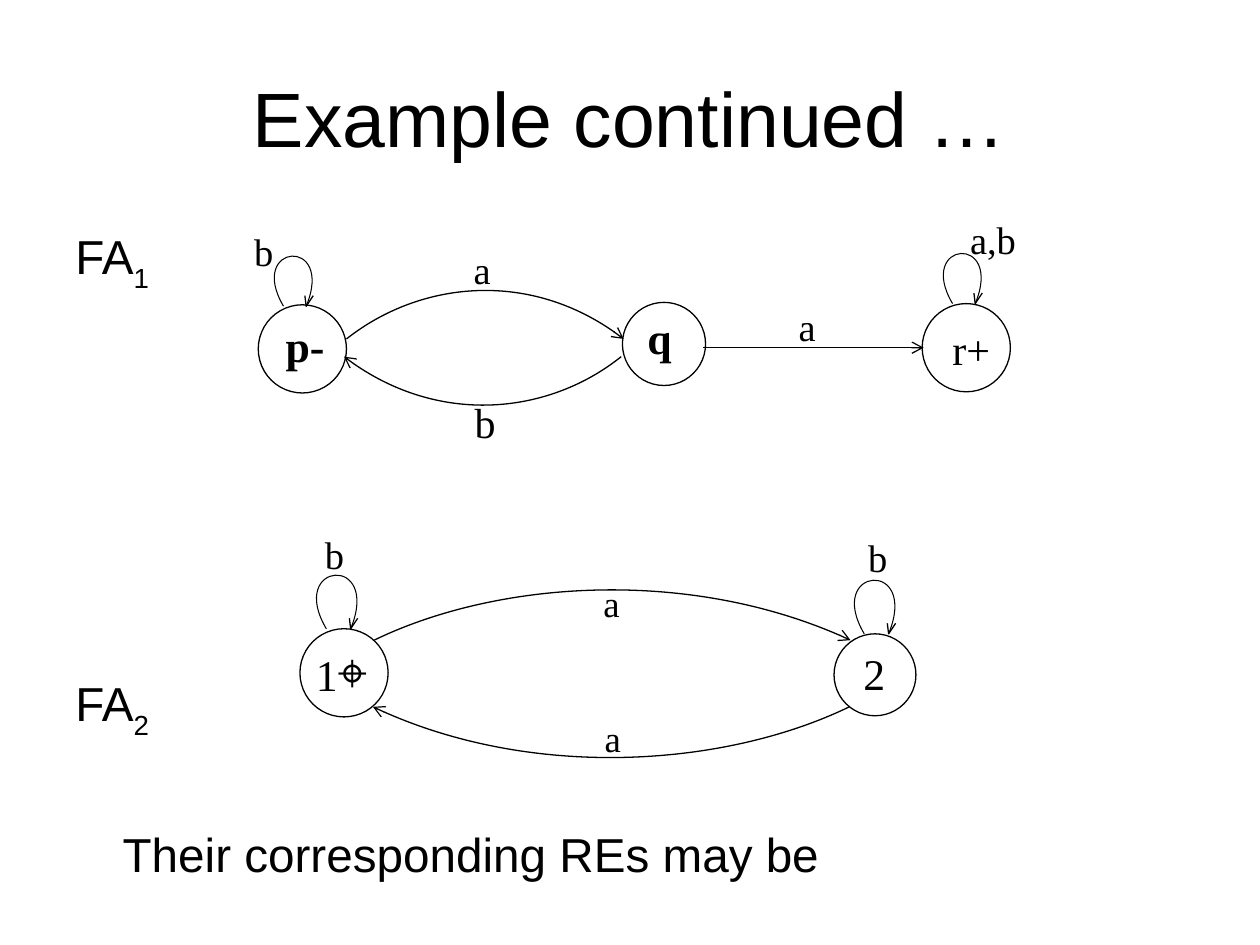
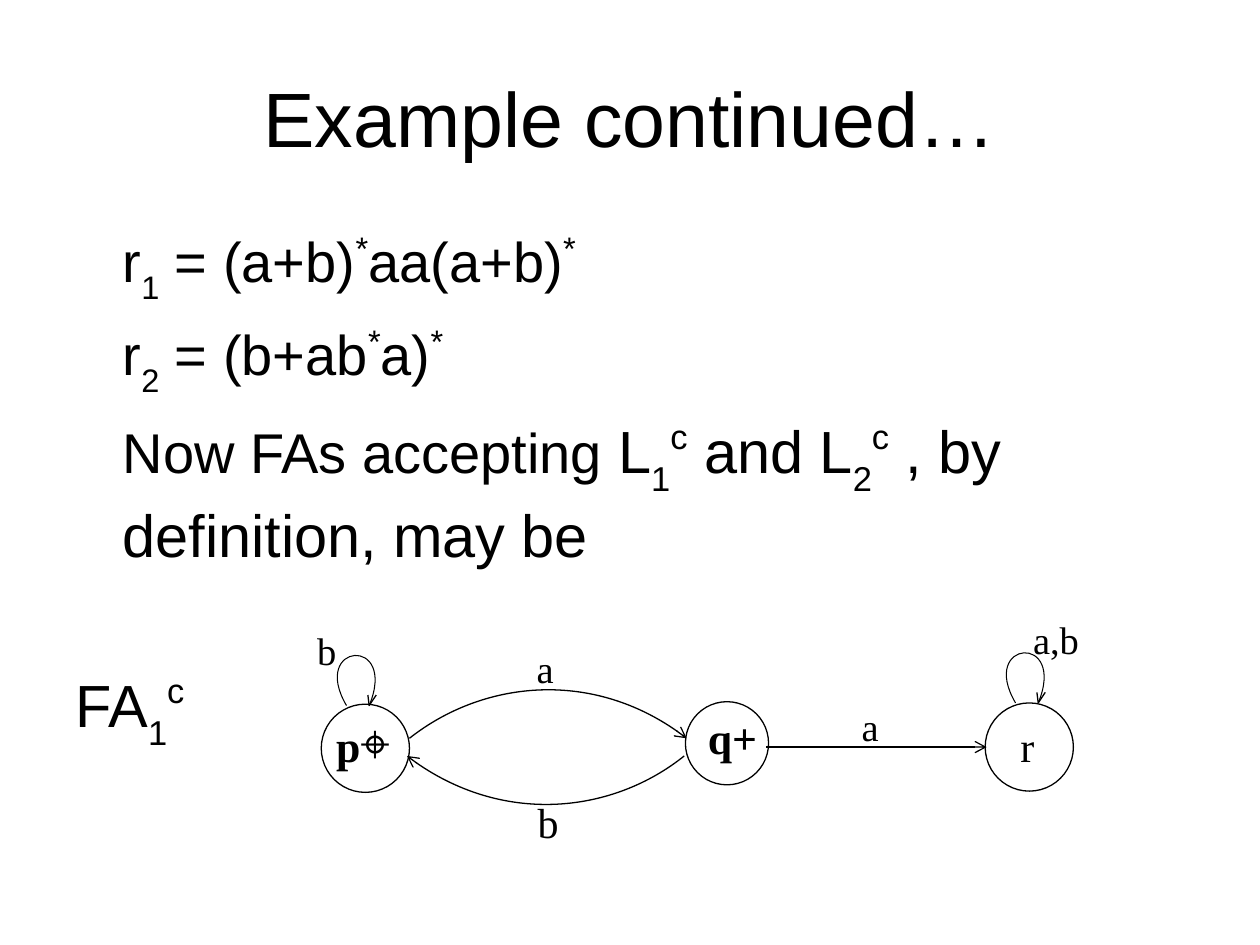
from dataclasses import dataclass

from lxml import etree
from pptx import Presentation
from pptx.dml.color import RGBColor
from pptx.enum import shapes as es, text as et
from pptx.oxml.ns import qn
from pptx.util import Pt


@dataclass(frozen=True)
class Theme:
    ink: RGBColor = RGBColor(0, 0, 0)
    paper: RGBColor = RGBColor(255, 255, 255)
    sans: str = "Arial"
    serif: str = "Times New Roman"
    sign: str = "Cambria"
    title: float = 44
    body: float = 27.2
    rule: float = 32
    large: float = 34
    name: float = 25
    mark: float = 30
    tag: float = 22
    line: float = 0.74
    thin: float = 0.6


T = Theme()
CROSS = "\u2316"
SHIFT = {"_": "-30000", "^": "40000"}


# --- Text ---
def style(run, size, font, bold=False):
    run.font.size, run.font.name, run.font.bold = Pt(size), font, bold
    run.font.color.rgb = T.ink


def box(s, x, y, w, h):
    frame = s.shapes.add_textbox(Pt(x), Pt(y), Pt(w), Pt(h)).text_frame
    frame.word_wrap = True
    return frame


def title(s, words):
    frame = box(s, 36, 21.6, 648, 90)
    frame.vertical_anchor = et.MSO_ANCHOR.MIDDLE
    frame.text = words
    para = frame.paragraphs[0]
    para.alignment = et.PP_ALIGN.CENTER
    style(para.runs[0], T.title, T.sans)


def split(words):
    """Yield text and baseline; _ lowers and ^ raises the next character."""
    plain, marks = "", iter(words)
    for char in marks:
        if char in SHIFT:
            if plain:
                yield plain, None
            yield next(marks), SHIFT[char]
            plain = ""
        else:
            plain += char
    if plain:
        yield plain, None


def body(s, rows):
    """Each row holds the space before, the left margin and sized pieces."""
    frame = box(s, 36, 126, 648, 356.4)
    for i, (gap, left, parts) in enumerate(rows):
        para = frame.add_paragraph() if i else frame.paragraphs[0]
        para.space_before = Pt(gap)
        props = para._p.get_or_add_pPr()
        props.set("marL", str(Pt(left)))
        props.set("indent", "0")
        for words, size in parts:
            for piece, base in split(words):
                run = para.add_run()
                run.text = piece
                style(run, size, T.sans)
                if base:
                    run.font._element.set("baseline", base)


def tag(s, words, x, y, size=T.tag, w=29.5, h=28.8):
    frame = box(s, x, y, w, h)
    frame.text = words
    style(frame.paragraphs[0].runs[0], size, T.serif)


def name(s, words, x, y, w=48, h=28, size=T.name, bold=False, pad=(7.2, 3.6)):
    """State name; the final-start sign gets its own font."""
    frame = box(s, x, y, w, h)
    frame.margin_left, frame.margin_top = map(Pt, pad)
    para = frame.paragraphs[0]
    para.text = words.replace(CROSS, "")
    style(para.runs[0], size, T.serif, bold)
    if CROSS in words:
        run = para.add_run()
        run.text = CROSS
        style(run, T.mark, T.sign)


# --- States and moves ---
def ink(shape, width=T.line, arrow=False):
    shape.line.color.rgb = T.ink
    shape.line.width = Pt(width)
    if arrow:
        edge = shape.element.spPr.find(qn("a:ln"))
        etree.SubElement(edge, qn("a:tailEnd"), type="arrow")


def state(s, x, y, size=50.4):
    oval = s.shapes.add_shape(es.MSO_SHAPE.OVAL, Pt(x), Pt(y), Pt(size), Pt(size))
    oval.shadow.inherit = False
    oval.fill.solid()
    oval.fill.fore_color.rgb = T.paper
    ink(oval)


def trace(s, points, width=T.line, arrow=False):
    start, *rest = [(Pt(x), Pt(y)) for x, y in points]
    pen = s.shapes.build_freeform(*start)
    pen.add_line_segments(rest, close=False)
    shape = pen.convert_to_shape()
    shape.shadow.inherit = False
    shape.fill.background()
    ink(shape, width, arrow)
    return shape


def curve(s, points, width=T.line, arrow=False):
    """Turn three straight segments into one cubic curve."""
    shape = trace(s, points, width, arrow)
    legs = list(shape.element.iter(qn("a:lnTo")))
    route = legs[0].getparent()
    bend = etree.SubElement(route, qn("a:cubicBezTo"))
    for leg in legs:
        bend.append(leg[0])
        route.remove(leg)


def loop(s, x, y, k=1):
    hook = [(0, 0), (-21.2, -36), (29.5, -40.3), (13, 0)]
    curve(s, [(x + k * a, y + k * b) for a, b in hook], T.thin)
    tip = x + 13 * k
    trace(s, [(tip - 0.75, y - 6), (tip, y), (tip + 4, y - 6)])


def move(s, x, y, end):
    line = s.shapes.add_connector(
        es.MSO_CONNECTOR.STRAIGHT, Pt(x), Pt(y), Pt(end), Pt(y))
    ink(line, arrow=True)
    etree.SubElement(line.element.spPr, qn("a:effectLst"))


# --- Automata ---
def chain(s, dx, dy, names):
    """Three states p, q, r, drawn from a shifted corner."""
    def at(*points):
        return [(x + dx, y + dy) for x, y in points]

    for x, y, size in ((147.6, 174.2, 50.4), (355.7, 172.8, 47.5),
                       (527, 173.5, 50.4)):
        state(s, x + dx, y + dy, size)
    for x, y in at((162, 175), (544.3, 173.5)):
        loop(s, x, y)
    curve(s, at((198, 193.7), (239, 161.3), (304.6, 153.4), (356.4, 193.7)),
          arrow=True)
    curve(s, at((355, 203.8), (314.6, 236.2), (249.1, 244.1), (196.6, 203.8)),
          arrow=True)
    move(s, 401.8 + dx, 198.7 + dy, 527.8 + dx)
    for words, x, y, size, w in (
            ("b", 138.2, 126.7, T.tag, 70.6), ("a,b", 547.2, 120.2, T.tag, 70.6),
            ("a", 263.5, 136.8, T.tag, 29.5), ("a", 449.3, 169.9, T.tag, 29.5),
            ("b", 264.2, 223.2, 24, 29.5)):
        tag(s, words, x + dx, y + dy, size, w)
    for words, x, y, size, bold in names:
        name(s, words, x + dx, y + dy, 65.5, size=size, bold=bold)


def pair(s):
    """Two states, 1 and 2."""
    state(s, 171.4, 359.3)
    state(s, 476.6, 362.2, 46.8)
    name(s, "1" + CROSS, 157, 349.2, 70.6, 49, pad=(23.5, 16.2))
    name(s, "2", 472.3, 353.5, 70.6, 49, pad=(21, 16.2))
    loop(s, 186.5, 359.3, 1.07)
    loop(s, 493.9, 362.2, 1.07)
    curve(s, [(213.8, 365.8), (283.7, 331.9), (396, 324), (486, 365.8)],
          arrow=True)
    curve(s, [(485.3, 403.9), (415.4, 437.8), (302.4, 446.4), (213.1, 403.9)],
          arrow=True)
    tag(s, "b", 178.6, 300.2, w=60.5, h=40.3)
    tag(s, "b", 489, 301.7, w=60.5, h=40.3)
    tag(s, "a", 337.7, 328.3, 21)
    tag(s, "a", 338.4, 405.4, 21)


def main():
    deck = Presentation()
    deck.slide_width, deck.slide_height = Pt(720), Pt(540)
    blank = deck.slide_layouts[6]

    # Slide 1: both automata
    s = deck.slides.add_slide(blank)
    title(s, "Example continued \u2026")
    body(s, [(8, 0, [("FA_1", T.body)]),
             (217, 0, [("FA_2", T.body)]),
             (48, 27, [("Their corresponding REs may be", T.body)])])
    pair(s)
    chain(s, 0, 0, [("p-", 156.2, 178.6, T.name, True),
                    ("q", 362.9, 174.2, T.name, True),
                    ("r+", 537.1, 181.4, 24, False)])

    # Slide 2: expressions and first complement
    s = deck.slides.add_slide(blank)
    title(s, "Example continued\u2026")
    body(s, [(8, 27, [("r_1 = (a+b)^*aa(a+b)^*", T.rule)]),
             (8, 27, [("r_2 = (b+ab^*a)^*", T.rule)]),
             (8.5, 27, [("Now FAs accepting ", T.rule),
                        ("L_1^c and L_2^c , by definition, may be", T.large)]),
             (56, 0, [("FA_1^c", T.large)])])
    chain(s, 36, 228.2, [("p" + CROSS, 149, 174.3, T.name, True),
                         ("q+", 361.4, 174.3, T.name, True),
                         ("r", 540, 180, 24, False)])
    deck.save("out.pptx")


main()
